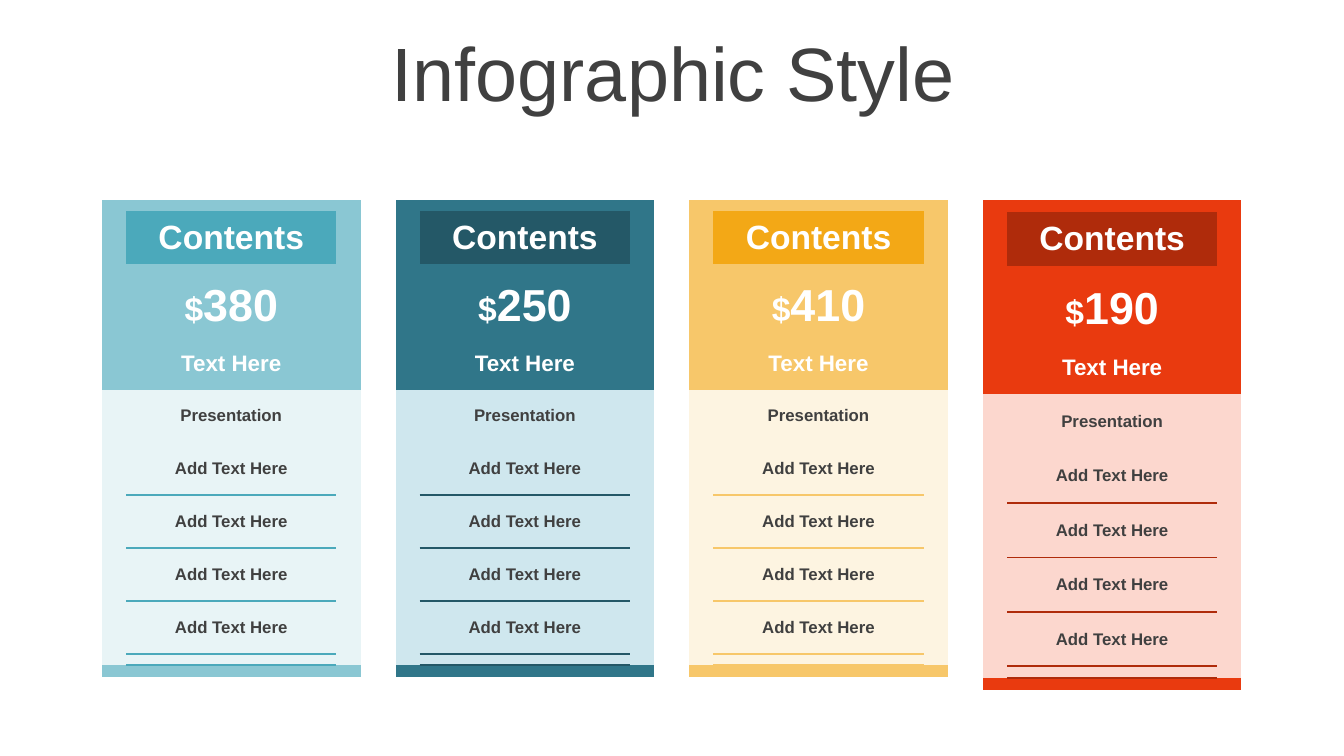
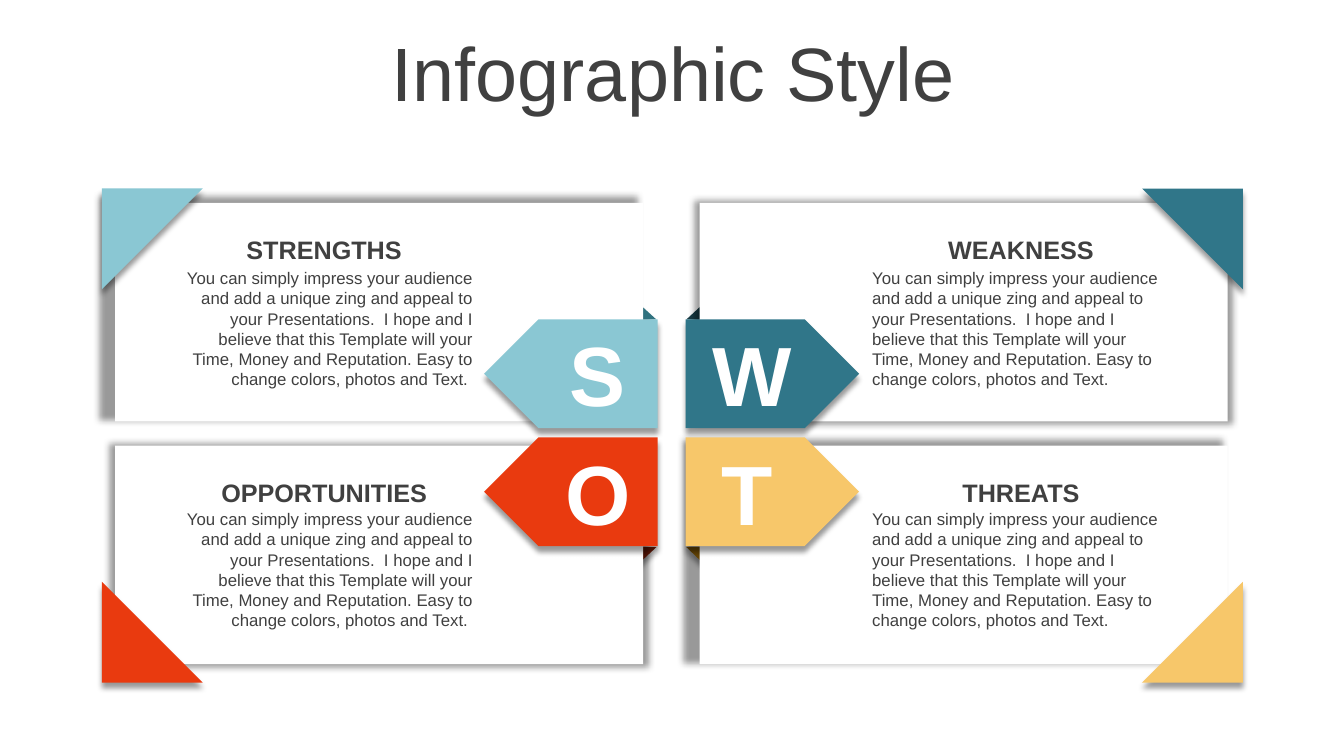
"""Build a price table slide and a SWOT slide in one infographic style."""
from dataclasses import dataclass

from pptx import Presentation
from pptx import util as u
from pptx.dml import color as dml
from pptx.enum import shapes, text
from pptx.oxml import ns, xmlchemy

Cm = u.Cm
ALIGN = text.PP_ALIGN
SHAPE = shapes.MSO_SHAPE


@dataclass(frozen=True)
class Theme:
    """Fonts, colours and type sizes of the presentation."""
    font: str = "Arial"
    ink: str = "404040"
    white: str = "FFFFFF"
    aqua: str = "8AC7D3"
    teal: str = "307689"
    amber: str = "F7C76A"
    red: str = "E93A0F"
    title: int = 54
    letter: int = 60
    price: int = 32
    label: int = 24
    heading: int = 18
    caption: int = 16
    body: int = 12


THEME = Theme()


@dataclass(frozen=True)
class Plan:
    """One price table, with row heights in centimetres."""
    price: str
    main: str
    badge: str
    tint: str
    rule: str
    spacer: float = 0.29
    row: float = 1.33
    price_row: float = 1.55


@dataclass(frozen=True)
class Quadrant:
    """One SWOT panel, placed by column and row."""
    letter: str
    heading: str
    color: str
    fold: str
    column: int
    row: int
    corner_rotation: int

    @property
    def mirrored(self) -> bool:
        """Tell whether the panel is flipped vertically."""
        return self.column == self.row


PLANS = (
    Plan("380", THEME.aqua, "4BA9BB", "E8F4F6", "4BA9BB"),
    Plan("250", THEME.teal, "245867", "CFE7EE", "245867"),
    Plan("410", THEME.amber, "F3A816", "FDF4E1", THEME.amber),
    Plan("190", THEME.red, "AF2B0B", "FCD7CE", "AF2B0B", 0.3, 1.37, 1.57),
)
QUADRANTS = (
    Quadrant("S", "STRENGTHS", THEME.aqua, "30727F", 0, 0, 90),
    Quadrant("W", "WEAKNESS", THEME.teal, "183B44", 1, 0, 180),
    Quadrant("O", "OPPORTUNITIES", THEME.red, "741D08", 0, 1, 0),
    Quadrant("T", "THREATS", THEME.amber, "A87209", 1, 1, 270),
)
DESCRIPTION = (
    "You can simply impress your audience and add a unique zing and appeal to "
    "your Presentations.  I hope and I believe that this Template will your "
    "Time, Money and Reputation. Easy to change colors, photos and Text."
)
COLUMN_WIDTHS = (0.6, 5.3, 0.6)
SPACER_ROWS = (0, 2, 10, 11)
PRICE_ROW = 3
TINT_ROWS = range(5, 11)
RULED_ROWS = range(6, 10)
PANEL_SHADOW = {"blurRad": "63500", "sx": "102000", "sy": "102000",
                "algn": "ctr", "rotWithShape": "0"}
DROP_SHADOW = {"blurRad": "50800", "dist": "50800", "dir": "5400000",
               "algn": "t", "rotWithShape": "0"}


def add_text(paragraph, content: str, *, size: int, color: str = THEME.ink,
             bold: bool = False, align=ALIGN.CENTER) -> None:
    """Append a formatted run to a paragraph."""
    paragraph.alignment = align
    run = paragraph.add_run()
    run.text = content
    run.font.name = THEME.font
    run.font.size = u.Pt(size)
    run.font.bold = bold
    run.font.color.rgb = dml.RGBColor.from_string(color)


def add_text_box(slide, box: tuple, content: str, **text_format) -> None:
    """Add a wrapped text box, with its place in centimetres."""
    frame = slide.shapes.add_textbox(*map(Cm, box)).text_frame
    frame.word_wrap = True
    add_text(frame.paragraphs[0], content, **text_format)


def add_child(parent, tag: str, **attributes: str):
    """Append a DrawingML element to its parent."""
    child = xmlchemy.OxmlElement(tag)
    for name, value in attributes.items():
        child.set(name, value)
    parent.append(child)
    return child


def fill_solid(target, color: str) -> None:
    """Fill a shape or cell with one colour."""
    target.fill.solid()
    target.fill.fore_color.rgb = dml.RGBColor.from_string(color)


def style_shape(shape, color: str, shadow: dict) -> None:
    """Give a shape a plain fill, no outline and a soft shadow."""
    fill_solid(shape, color)
    shape.line.fill.background()
    shape.shadow.inherit = False
    effects = shape._element.spPr.find(ns.qn("a:effectLst"))
    outer = add_child(effects, "a:outerShdw", **shadow)
    black = add_child(outer, "a:srgbClr", val="000000")
    add_child(black, "a:alpha", val="40000")


def add_block(slide, preset, box: tuple, color: str, shadow: dict,
              rotation: int = 0):
    """Add a styled preset shape, with its place in centimetres."""
    shape = slide.shapes.add_shape(preset, *map(Cm, box))
    shape.rotation = rotation
    style_shape(shape, color, shadow)
    return shape


def add_title_slide(presentation):
    """Add a slide with the shared title."""
    slide = presentation.slides.add_slide(presentation.slide_layouts[5])
    title = slide.shapes.title
    title.left, title.top = Cm(0.89), Cm(0.94)
    title.width, title.height = Cm(32.16), Cm(2.01)
    frame = title.text_frame
    frame.auto_size = text.MSO_AUTO_SIZE.NONE
    frame.vertical_anchor = text.MSO_ANCHOR.MIDDLE
    paragraph = frame.paragraphs[0]
    paragraph.line_spacing = 0.9
    paragraph.space_before = u.Pt(0)
    add_text(paragraph, "Infographic Style", size=THEME.title)
    return slide


def add_rule(cell, side: str, color: str) -> None:
    """Draw one horizontal border of a cell."""
    line = add_child(cell._tc.get_or_add_tcPr(), side, w="19050")
    add_child(add_child(line, "a:solidFill"), "a:srgbClr", val=color)


def style_cell(cell, row: int, column: int, plan: Plan) -> None:
    """Apply rules, fill and spacing to a cell."""
    if column == 1:
        if row - 1 in RULED_ROWS:
            add_rule(cell, "a:lnT", plan.rule)
        if row in RULED_ROWS:
            add_rule(cell, "a:lnB", plan.rule)
    color = plan.tint if row in TINT_ROWS else plan.main
    fill_solid(cell, plan.badge if (row, column) == (1, 1) else color)
    cell.vertical_anchor = text.MSO_ANCHOR.MIDDLE
    if row in SPACER_ROWS:
        cell.margin_top = cell.margin_bottom = 0
        add_child(cell.text_frame.paragraphs[0]._p, "a:endParaRPr", sz="100")


def add_plan(slide, plan: Plan, left: float) -> None:
    """Add one price table."""
    heights = [plan.spacer if row in SPACER_ROWS else plan.row
               for row in range(12)]
    heights[PRICE_ROW] = plan.price_row
    table = slide.shapes.add_table(
        len(heights), len(COLUMN_WIDTHS), Cm(left), Cm(5.03),
        Cm(sum(COLUMN_WIDTHS)), Cm(sum(heights))).table
    table.first_row = table.horz_banding = False
    style_id = table._tbl.tblPr.find(ns.qn("a:tableStyleId"))
    style_id.text = "{2D5ABB26-0587-4C30-8999-92F81FD0307C}"
    for column, width in zip(table.columns, COLUMN_WIDTHS):
        column.width = Cm(width)
    for row, height in enumerate(heights):
        table.rows[row].height = Cm(height)
        for column in range(len(COLUMN_WIDTHS)):
            style_cell(table.cell(row, column), row, column, plan)

    entries = [
        (1, "Contents", THEME.label, THEME.white),
        (PRICE_ROW, "$", THEME.label, THEME.white),
        (PRICE_ROW, plan.price, THEME.price, THEME.white),
        (4, "Text Here", THEME.caption, THEME.white),
        (5, "Presentation", THEME.body, THEME.ink),
    ]
    entries += [(row, "Add Text Here", THEME.body, THEME.ink)
                for row in RULED_ROWS]
    for row, content, size, color in entries:
        paragraph = table.cell(row, 1).text_frame.paragraphs[0]
        add_text(paragraph, content, size=size, color=color, bold=True)


def add_fold(slide, quadrant: Quadrant) -> None:
    """Add the dark fold behind an arrow."""
    inner, outer = ((16.1, 16.54), (17.73, 17.3))[quadrant.column]
    base, apex = ((8.05, 7.65), (13.79, 14.2))[quadrant.row]
    builder = slide.shapes.build_freeform(Cm(inner), Cm(base))
    builder.add_line_segments(
        [(Cm(outer), Cm(base)), (Cm(inner), Cm(apex))], close=True)
    style_shape(builder.convert_to_shape(), quadrant.fold, DROP_SHADOW)


def add_panel(slide, quadrant: Quadrant) -> None:
    """Add the white panel of a quadrant."""
    box = ((2.9, 17.63)[quadrant.column], (5.11, 11.23)[quadrant.row],
           13.31, 5.51)
    panel = add_block(slide, SHAPE.RECTANGLE, box, THEME.white, PANEL_SHADOW)
    if quadrant.mirrored:
        panel._element.spPr.xfrm.set("flipV", "1")


def add_arrow(slide, quadrant: Quadrant) -> None:
    """Add the arrow of a quadrant and its letter."""
    column, row = quadrant.column, quadrant.row
    box = ((12.2, 17.28)[column], (8.05, 11.02)[row], 4.37, 2.74)
    add_block(slide, SHAPE.PENTAGON, box, quadrant.color, DROP_SHADOW,
              (180, 0)[column])
    add_text_box(slide, ((13.94, 17.7)[column], (8, 11)[row], 2.26, 2.82),
                 quadrant.letter, size=THEME.letter, color=THEME.white,
                 bold=True)


def add_description(slide, quadrant: Quadrant) -> None:
    """Add the heading, body text and corner of a quadrant."""
    column, row = quadrant.column, quadrant.row
    left = (4.17, 21.73)[column]
    add_text_box(slide, (left, (5.77, 11.91)[row], 8, 0.76),
                 quadrant.heading, size=THEME.heading, bold=True)
    add_text_box(slide, (left, (6.63, 12.7)[row], 8, 3.33),
                 DESCRIPTION + (" ", "")[column], size=THEME.body,
                 align=(ALIGN.RIGHT, ALIGN.LEFT)[column])
    box = ((2.57, 28.78)[column], (4.75, 14.66)[row], 2.54, 2.54)
    add_block(slide, SHAPE.RIGHT_TRIANGLE, box, quadrant.color, DROP_SHADOW,
              quadrant.corner_rotation)


def main() -> None:
    """Build and save the presentation."""
    presentation = Presentation()
    presentation.slide_width, presentation.slide_height = Cm(33.87), Cm(19.05)
    price_slide = add_title_slide(presentation)
    for index, plan in enumerate(PLANS):
        add_plan(price_slide, plan, 2.57 + 7.4 * index)
    swot_slide = add_title_slide(presentation)
    for add_layer in (add_fold, add_panel, add_arrow, add_description):
        for quadrant in QUADRANTS:
            add_layer(swot_slide, quadrant)
    presentation.save("out.pptx")


if __name__ == "__main__":
    main()
